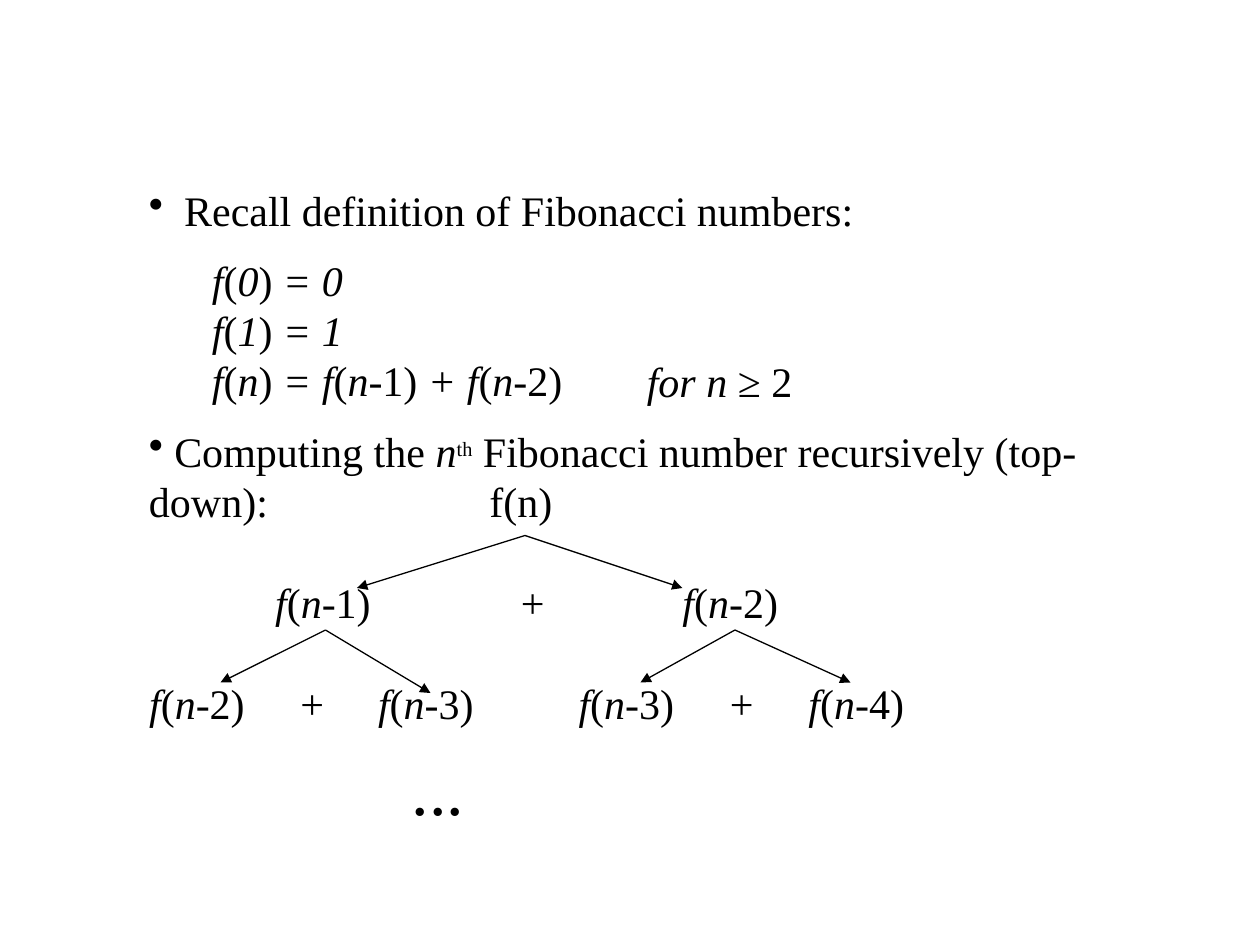
from pptx import Presentation
from pptx.dml.color import RGBColor
from pptx.enum.shapes import MSO_CONNECTOR
from pptx.enum.text import MSO_ANCHOR
from pptx.oxml.ns import qn
from pptx.util import Inches, Pt
from lxml.etree import SubElement

COLORS = {"ink": "000000"}
INK = RGBColor.from_string(COLORS["ink"])
FONT = "Times New Roman"
UNIT = Inches(10) // 120  # the grid has 120 columns and 90 rows
LINE = Pt(28.7)
GAP = Pt(11.4)

# Pieces are split at "|"; "_" opens an italic piece, "^" a superscript.
# text, space before, left margin, first-line indent, bullet
PARAGRAPHS = [
    ("Recall definition of Fibonacci numbers:", 0, 0.28, -0.28, True),
    ("_f|(|_0|)|_ = 0", GAP, 0.5, 0, False),
    ("_f|(|_1|)|_ = 1", 0, 0.5, 0, False),
    ("_f|(|_n|)|_ = f|(|_n|-1)|_ + f|(|_n|-2)", 0, 0.5, 0, False),
    (" Computing the |_n|^th| Fibonacci number recursively (top-down):",
     GAP, 0, 0, True),
]

# row: (column, text) of each label, in grid units
LABELS = {
    33.85: [(61.6, "_for n |≥ 2")],
    45.3: [(46.6, "f(n)")],
    54.9: [(26.2, "_f|(|_n-|1)"), (49.6, "+"), (65, "_f|(|_n-|2)")],
    64.5: [(14.2, "_f|(|_n-|2)"), (28.6, "+"), (36, "_f|(|_n-|3)"),
           (55.1, "_f|(|_n-|3)"), (69.5, "+"), (77, "_f|(|_n-|4)")],
    74.2: [(39.2, "...")],
}

# parent point: child points, in grid units
BRANCHES = {
    (50, 51): [(34, 56), (65, 56)],
    (31, 60): [(21, 65), (41, 66)],
    (70, 60): [(61, 65), (81, 65)],
}


def add_runs(p, text, size=24):
    p.line_spacing = LINE
    for piece in text.split("|"):
        r = p.add_run()
        r.text = piece.lstrip("_^")
        raised = piece.startswith("^")
        values = {"name": FONT, "size": Pt(20 if raised else size),
                  "italic": piece.startswith("_")}
        for name, value in values.items():
            setattr(r.font, name, value)
        r.font.color.rgb = INK
        if raised:
            r.font._element.set("baseline", "30000")


prs = Presentation()
prs.slide_width, prs.slide_height = 120 * UNIT, 90 * UNIT
s = prs.slides.add_slide(prs.slide_layouts[6])

# Definition
sp = s.shapes.add_textbox(13 * UNIT, 17 * UNIT, 100 * UNIT, 35 * UNIT)
tf = sp.text_frame
tf.word_wrap = True
tf.vertical_anchor = MSO_ANCHOR.TOP
for i, (text, before, margin, indent, bullet) in enumerate(PARAGRAPHS):
    p = tf.add_paragraph() if i else tf.paragraphs[0]
    p.space_before = before
    add_runs(p, text)
    pPr = p._p.get_or_add_pPr()
    pPr.set("marL", str(Inches(margin)))
    pPr.set("indent", str(Inches(indent)))
    if bullet:
        SubElement(pPr, qn("a:buChar"), char="•")

# Condition and recursion tree
for row, labels in LABELS.items():
    for col, text in labels:
        sp = s.shapes.add_textbox(int(col * UNIT), int(row * UNIT), 14 * UNIT, LINE)
        tf = sp.text_frame
        tf.word_wrap = False
        tf.vertical_anchor = MSO_ANCHOR.TOP
        for side in ("left", "top", "right", "bottom"):
            setattr(tf, f"margin_{side}", 0)
        add_runs(tf.paragraphs[0], text, 40 if text == "..." else 24)

# Arrows from each call to the calls it makes
for (x, y), children in BRANCHES.items():
    for cx, cy in children:
        arrow = s.shapes.add_connector(
            MSO_CONNECTOR.STRAIGHT, x * UNIT, y * UNIT, cx * UNIT, cy * UNIT)
        arrow.line.color.rgb = INK
        arrow.line.width = Pt(0.75)
        SubElement(arrow.line._get_or_add_ln(), qn("a:tailEnd"), type="triangle")
        SubElement(arrow._element.spPr, qn("a:effectLst"))

prs.save("out.pptx")
